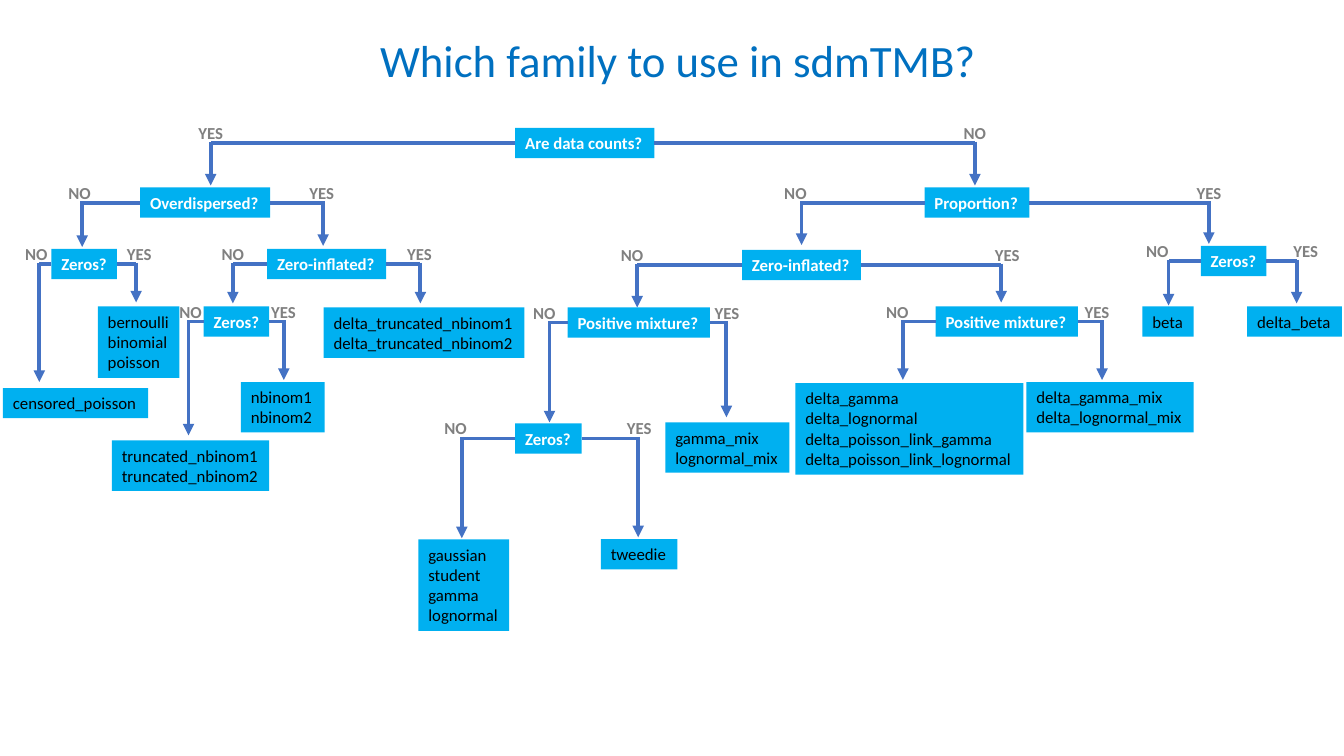
from pptx import Presentation
from pptx import util as u
from pptx.dml.color import RGBColor
from pptx.enum import shapes, text
from pptx.oxml import parse_xml
from pptx.oxml.ns import nsdecls

# Slide grid: tenths of an inch in both directions
WIDTH, HEIGHT = u.Inches(13.33), u.Inches(7.5)
COLUMN, ROW = WIDTH / 133.3, HEIGHT / 75

FONT = "Calibri"
TITLE_BLUE, BOX_BLUE, LINE_BLUE = "0070C0", "00B0F0", "4472C4"
WHITE, BLACK, GREY = "FFFFFF", "000000", "808080"

# Box heights in rows, by number of text lines
BOX_ROWS = {1: 3, 2: 5, 3: 7.1, 4: 9.1}
LABEL_COLUMNS = {"NO": 4.3, "YES": 4.5}

# Question: text, column, row, columns wide,
# then its two arms: answer, column of the answer, column of the bend, row of the tip
QUESTIONS = [
    ("Are data counts?", 51.1, 12.7, 13.8,
     [("YES", 18.7, 20.9, 18.4), ("NO", 94.6, 96.7, 18.4)]),
    ("Overdispersed?", 13.9, 18.6, 12.9,
     [("NO", 5.8, 8.15, 24.5), ("YES", 29.7, 32.05, 24.4)]),
    ("Proportion?", 91.7, 18.6, 10.4,
     [("NO", 76.8, 79.5, 24.3), ("YES", 117.7, 119.9, 24.2)]),
    ("Zeros?", 5.1, 24.7, 6.5,
     [("NO", 1.5, 3.9, 37.9), ("YES", 11.6, 13.5, 30)]),
    ("Zero-inflated?", 26.5, 24.7, 11.8,
     [("NO", 21, 23.1, 30.1), ("YES", 39.4, 41.7, 30.1)]),
    ("Zero-inflated?", 73.6, 24.8, 11.8,
     [("NO", 60.6, 63.2, 30.5), ("YES", 97.7, 99.3, 30)]),
    ("Zeros?", 119.1, 24.4, 6.5,
     [("NO", 112.7, 115.9, 30.3), ("YES", 127.3, 128.6, 30.1)]),
    ("Zeros?", 20.2, 30.4, 6.5,
     [("NO", 16.8, 18.7, 43.2), ("YES", 25.9, 28.15, 37.7)]),
    ("Positive mixture?", 56.3, 30.5, 14.1,
     [("NO", 51.9, 54.5, 41.9), ("YES", 69.9, 72.05, 41.4)]),
    ("Positive mixture?", 92.8, 30.4, 14.1,
     [("NO", 86.9, 89.55, 37.7), ("YES", 106.6, 109.3, 37.7)]),
    ("Zeros?", 51.1, 42, 6.6,
     [("NO", 43.1, 45.8, 53.4), ("YES", 61.2, 63.3, 53.3)]),
]

# Families: lines, column, row, columns wide
FAMILIES = [
    (["censored_poisson"], 0.3, 38.5, 14.4),
    (["bernoulli", "binomial", "poisson"], 9.7, 30.4, 8.1),
    (["truncated_nbinom1", "truncated_nbinom2"], 11.1, 43.7, 15.6),
    (["nbinom1", "nbinom2"], 23.9, 37.9, 8.3),
    (["delta_truncated_nbinom1", "delta_truncated_nbinom2"], 32.1, 30.5, 19.9),
    (["gaussian", "student", "gamma", "lognormal"], 41.5, 53.5, 9),
    (["tweedie"], 59.6, 53.5, 7.6),
    (["gamma_mix", "lognormal_mix"], 66, 41.9, 12.3),
    (["delta_gamma", "delta_lognormal", "delta_poisson_link_gamma",
      "delta_poisson_link_lognormal"], 78.9, 38, 22.6),
    (["delta_gamma_mix", "delta_lognormal_mix"], 101.8, 37.9, 16.6),
    (["beta"], 113.3, 30.4, 5.1),
    (["delta_beta"], 123.7, 30.4, 9.4),
]


def colour(hex_value):
    return RGBColor.from_string(hex_value)


def place(column, row, columns, rows):
    return (round(column * COLUMN), round(row * ROW),
            round(columns * COLUMN), round(rows * ROW))


def write(shape, lines, hex_value, size=12, bold=False):
    frame = shape.text_frame
    frame.word_wrap = False
    frame.auto_size = text.MSO_AUTO_SIZE.SHAPE_TO_FIT_TEXT
    frame.vertical_anchor = text.MSO_ANCHOR.TOP
    for number, line in enumerate(lines):
        para = frame.add_paragraph() if number else frame.paragraphs[0]
        para.alignment = text.PP_ALIGN.LEFT
        span = para.add_run()
        span.text = line
        span.font.name = FONT
        span.font.size = u.Pt(size)
        span.font.bold = bold
        span.font.color.rgb = colour(hex_value)


def add_title(page, wording):
    title = page.shapes.title
    title.left, title.top, title.width, title.height = place(36.7, 2.7, 63.2, 6.4)
    write(title, [wording], TITLE_BLUE, size=32)


def add_box(page, lines, column, row, columns, hex_value, bold=False):
    box = page.shapes.add_shape(shapes.MSO_SHAPE.RECTANGLE,
                                *place(column, row, columns, BOX_ROWS[len(lines)]))
    box.shadow.inherit = False
    box.fill.solid()
    box.fill.fore_color.rgb = colour(BOX_BLUE)
    box.line.fill.background()
    write(box, lines, hex_value, bold=bold)
    return box


def add_label(page, answer, column, row):
    label = page.shapes.add_textbox(*place(column, row, LABEL_COLUMNS[answer], 3))
    write(label, [answer], GREY, bold=True)


def add_line(page, start, end, arrow=False):
    line = page.shapes.add_connector(shapes.MSO_CONNECTOR.STRAIGHT,
                                     *place(*start, *end))
    line.line.color.rgb = colour(LINE_BLUE)
    line.line.width = u.Pt(2.75)
    if arrow:
        line.line._get_or_add_ln().append(
            parse_xml(f'<a:tailEnd {nsdecls("a")} type="triangle"/>'))
    line._element.spPr.append(parse_xml(f'<a:effectLst {nsdecls("a")}/>'))
    return line


def add_question(page, wording, column, row, columns, arms):
    box = add_box(page, [wording], column, row, columns, WHITE, bold=True)
    middle = row + BOX_ROWS[1] / 2
    for answer, label_column, bend, tip in arms:
        on_left = bend < column
        edge = column if on_left else column + columns
        arm = add_line(page, (edge, middle), (bend, middle))
        arm.begin_connect(box, 1 if on_left else 3)
        # The arrow starts at the arm's outer edge to close the corner
        add_line(page, (bend, middle - 0.15), (bend, tip), arrow=True)
        add_label(page, answer, label_column, row - 1)


def main():
    deck = Presentation()
    deck.slide_width, deck.slide_height = WIDTH, HEIGHT
    page = deck.slides.add_slide(deck.slide_layouts.get_by_name("Title Only"))
    add_title(page, "Which family to use in sdmTMB?")

    # Decision tree
    for question in QUESTIONS:
        add_question(page, *question)

    # Resulting families
    for lines, column, row, columns in FAMILIES:
        add_box(page, lines, column, row, columns, BLACK)

    deck.save("out.pptx")


if __name__ == "__main__":
    main()
